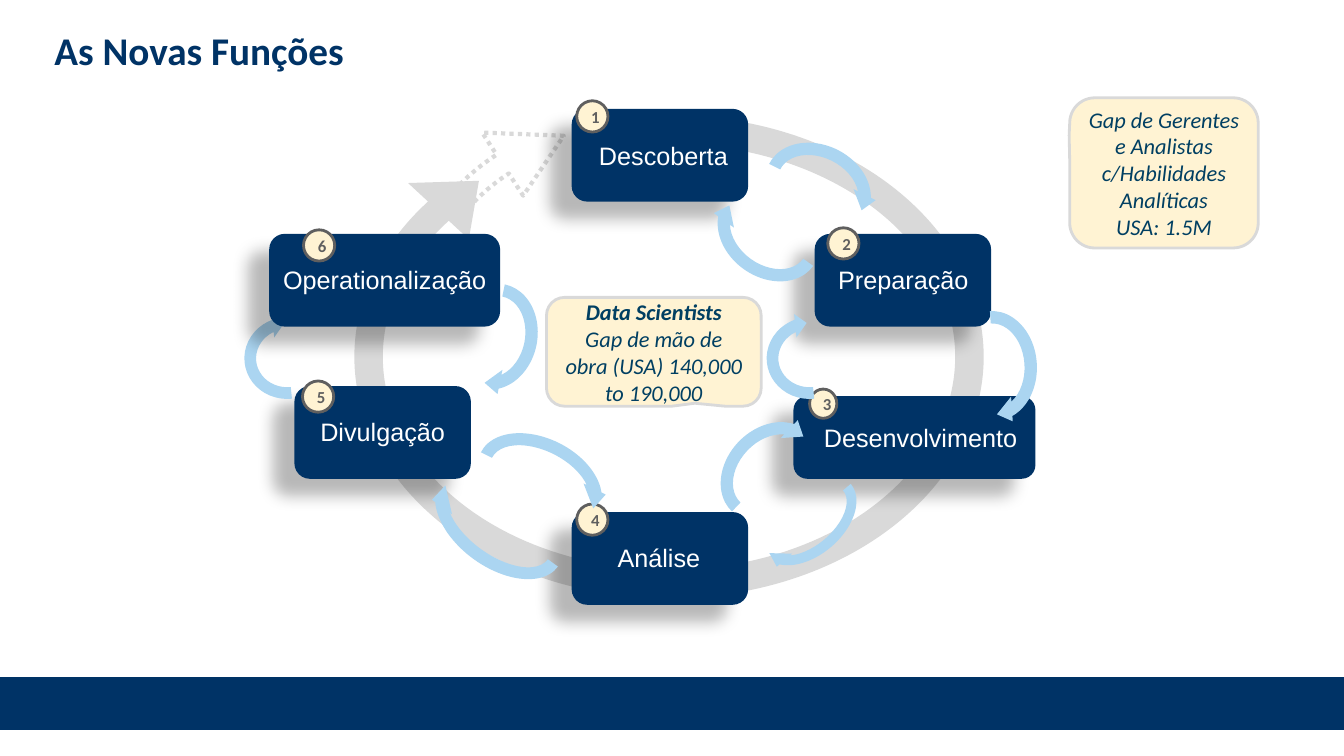
from dataclasses import dataclass

from lxml import etree
from pptx import Presentation
from pptx.dml.color import RGBColor
from pptx.enum.dml import MSO_LINE
from pptx.enum.shapes import MSO_SHAPE
from pptx.enum.text import MSO_ANCHOR, PP_ALIGN
from pptx.oxml.ns import qn
from pptx.util import Inches, Pt

RECTANGLE = MSO_SHAPE.RECTANGLE
ROUNDED = MSO_SHAPE.ROUNDED_RECTANGLE
OVAL = MSO_SHAPE.OVAL
CIRCULAR_ARROW = MSO_SHAPE.CIRCULAR_ARROW
CALLOUT = MSO_SHAPE.ROUNDED_RECTANGULAR_CALLOUT
DOTTED = MSO_LINE.ROUND_DOT
LEFT, CENTER = PP_ALIGN.LEFT, PP_ALIGN.CENTER
TOP, MIDDLE = MSO_ANCHOR.TOP, MSO_ANCHOR.MIDDLE


@dataclass(frozen=True)
class Theme:
    navy: str = "003366"
    white: str = "FFFFFF"
    cream: str = "FFF3D3"
    silver: str = "D9D9D9"
    gray: str = "5F5F5F"
    sky: str = "ABD5F1"
    ink: str = "003F62"
    heading_font: str = "Calibri"
    label_font: str = "Arial"
    title_size: int = 28
    label_size: int = 18
    note_size: int = 16
    badge_size: int = 12


THEME = Theme()
TITLE = "As Novas Funções"

# Name, card frame, label (left, top, width), badge frame
STEPS = [
    ("Descoberta", (5.67, 1.08, 1.75, 0.92), (5.83, 1.34, 1.5), (5.72, 1, 0.31, 0.31)),
    ("Preparação", (8.08, 2.32, 1.75, 0.92), (8.21, 2.57, 1.5), (8.21, 2.26, 0.31, 0.31)),
    ("Desenvolvimento", (7.87, 3.93, 2.4, 0.82), (8.05, 4.14, 2.16), (8.03, 3.86, 0.27, 0.29)),
    ("Análise", (5.67, 5.08, 1.75, 0.92), (5.75, 5.33, 1.57), (5.72, 5, 0.31, 0.31)),
    ("Divulgação", (2.92, 3.83, 1.75, 0.92), (2.92, 4.08, 1.75), (3, 3.78, 0.31, 0.31)),
    ("Operationalização", (2.67, 2.32, 2.29, 0.92), (2.67, 2.57, 2.29), (3.01, 2.28, 0.31, 0.31)),
]
LABEL_HEIGHT = 0.4

# Frame and rotation of each arrow between neighbouring steps
STEP_ARROWS = [
    ((7.51, 1.38, 1.21, 0.98), 26.6),
    ((7.02, 1.83, 1.21, 0.98), 215.8),
    ((9.25, 3.14, 1.21, 0.98), 86.1),
    ((7.57, 3.06, 0.93, 0.98), 264.3),
    ((4.64, 4.29, 1.43, 0.98), 26.6),
    ((4.17, 4.71, 1.56, 0.98), 215.8),
    ((7.41, 4.76, 1.21, 0.8), 139.6),
    ((7.03, 4.19, 1.21, 0.98), 313.6),
    ((2.39, 3.06, 0.93, 0.98), 264.3),
    ((4.31, 2.85, 1.18, 0.98), 101.6),
]

# Frame, pointer adjustments, paragraphs as (text, bold)
NOTES = [
    ((5.42, 2.95, 2.13, 1.08), (0.191, 0.473, 0.167),
     [("Data Scientists", True),
      ("Gap de mão de obra (USA) 140,000 to 190,000", False)]),
    ((10.61, 0.97, 1.87, 1.49), (-0.503, -0.25, 0.167),
     [("Gap de Gerentes e Analistas c/Habilidades Analíticas", False),
      ("USA: 1.5M", False)]),
]


def color(value):
    return RGBColor.from_string(value)


def write(shape, lines, font, size, ink, align=CENTER, anchor=MIDDLE, italic=False):
    """Fill a shape with one paragraph per (text, bold) pair."""
    frame = shape.text_frame
    frame.word_wrap = True
    frame.vertical_anchor = anchor
    for index, (text, bold) in enumerate(lines):
        para = frame.add_paragraph() if index else frame.paragraphs[0]
        para.alignment = align
        span = para.add_run()
        span.text = text
        span.font.name = font
        span.font.size = Pt(size)
        span.font.bold = bold
        span.font.italic = italic
        span.font.color.rgb = color(ink)


def add_shape(page, kind, frame, fill=None, line=None, weight=2, dash=None,
              rotation=0, adjustments=()):
    shape = page.shapes.add_shape(kind, *map(Inches, frame))
    shape.shadow.inherit = False
    shape.rotation = rotation
    for index, value in enumerate(adjustments):
        shape.adjustments[index] = value
    if fill:
        shape.fill.solid()
        shape.fill.fore_color.rgb = color(fill)
    else:
        shape.fill.background()
    if line:
        shape.line.color.rgb = color(line)
        shape.line.width = Pt(weight)
        if dash:
            shape.line.dash_style = dash
    else:
        shape.line.fill.background()
    return shape


def add_soft_shadow(shape):
    effects = shape._element.spPr.find(qn("a:effectLst"))
    shadow = etree.SubElement(
        effects, qn("a:outerShdw"), blurRad=str(Pt(11.8)), dist=str(Pt(19.7)),
        dir=str(141 * 60000), algn="ctr", rotWithShape="0")
    tint = etree.SubElement(shadow, qn("a:srgbClr"), val="000000")
    etree.SubElement(tint, qn("a:alpha"), val="28000")


def add_step(page, number, name, card_frame, label_frame, badge_frame):
    card = add_shape(page, ROUNDED, card_frame, fill=THEME.navy)
    add_soft_shadow(card)
    label = page.shapes.add_textbox(*map(Inches, (*label_frame, LABEL_HEIGHT)))
    write(label, [(name, False)], THEME.label_font, THEME.label_size, THEME.white, anchor=TOP)
    badge = add_shape(page, OVAL, badge_frame, fill=THEME.cream, line=THEME.gray)
    write(badge, [(str(number), True)], THEME.heading_font, THEME.badge_size, THEME.gray)


def add_title(page):
    title = page.shapes.title
    title.left, title.top, title.width, title.height = map(Inches, (0.44, 0.08, 12.33, 0.83))
    write(title, [(TITLE, True)], THEME.heading_font, THEME.title_size, THEME.navy, align=LEFT)


def main():
    deck = Presentation()
    deck.slide_width, deck.slide_height = Inches(13.33), Inches(7.5)
    page = deck.slides.add_slide(deck.slide_layouts[5])

    add_shape(page, RECTANGLE, (0, 6.73, 13.33, 0.5), fill=THEME.navy, line=THEME.navy)
    add_shape(page, CIRCULAR_ARROW, (4.39, 0.21, 5.33, 6.78), line=THEME.silver, weight=3,
              dash=DOTTED, rotation=110.4, adjustments=(0.042, 8.028, 67.928, 60.209, 0.07))
    add_shape(page, CIRCULAR_ARROW, (3.97, 0.15, 5.33, 6.78), fill=THEME.silver,
              rotation=90, adjustments=(0.053, 6.31, 73.371, 108, 0.077))
    add_title(page)

    steps = list(enumerate(STEPS, 1))
    for number, step in steps[:-1]:
        add_step(page, number, *step)
    for frame, rotation in STEP_ARROWS:
        add_shape(page, CIRCULAR_ARROW, frame, fill=THEME.sky, rotation=rotation)
    # The last card covers the arrow that leads into it
    last_number, last_step = steps[-1]
    add_step(page, last_number, *last_step)

    for frame, pointer, lines in NOTES:
        note = add_shape(page, CALLOUT, frame, fill=THEME.cream, line=THEME.silver,
                         adjustments=pointer)
        write(note, lines, THEME.heading_font, THEME.note_size, THEME.ink, italic=True)

    deck.save("out.pptx")


if __name__ == "__main__":
    main()
